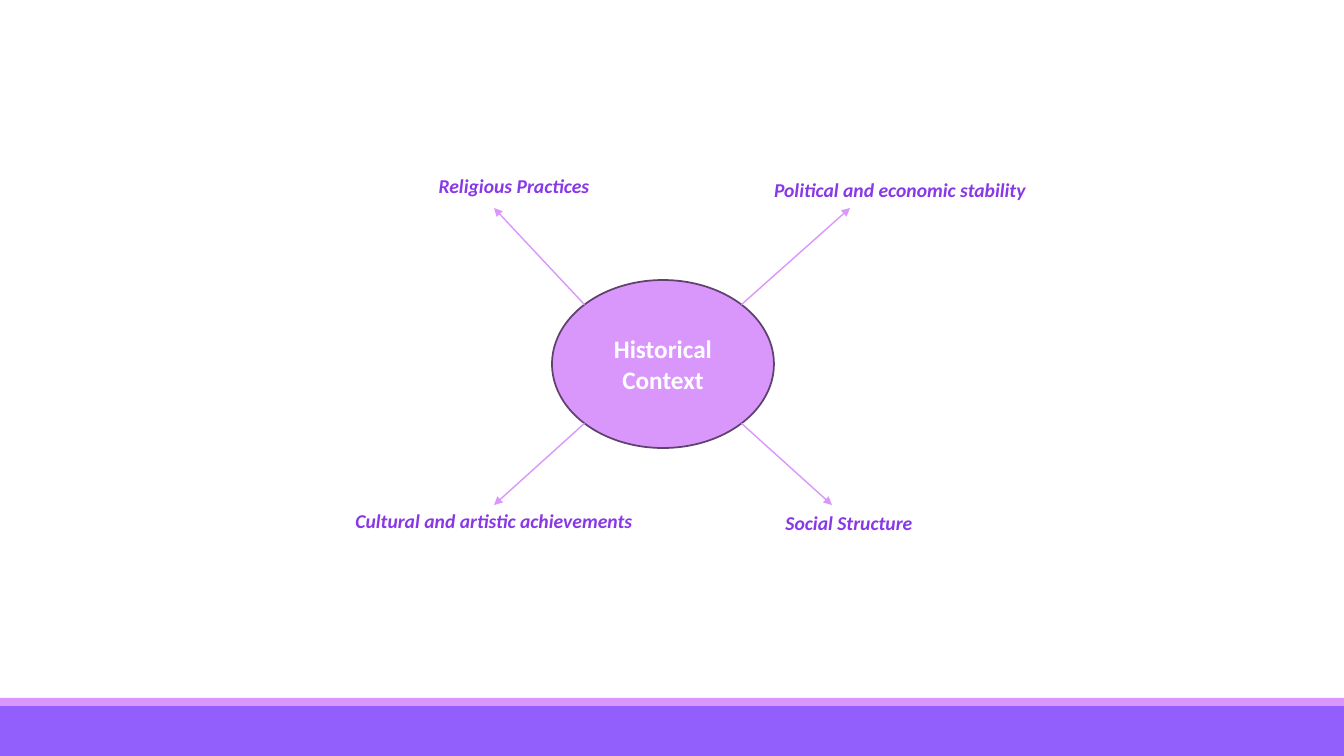
import math

from lxml import etree
from pptx import Presentation
from pptx import util as u
from pptx.dml.color import RGBColor
from pptx.enum import shapes, text
from pptx.oxml.ns import qn

W, H = 1344, 756
EMU_PER_PX = 12192000 / W
VIOLET, LILAC, PLUM, PURPLE, WHITE = "925FFD", "DA97FB", "60426E", "8838E6", "FFFFFF"
LABEL_W, LABEL_H = 386, 34

# label, direction from the hub, arrow tip and label corner measured from the hub centre
BRANCHES = [
    ("Political and economic stability", (1, -1), (187, -156), (44, -191)),
    ("Religious Practices", (-1, -1), (-169, -156), (-342, -195)),
    ("Social Structure", (1, 1), (169, 141), (-7, 142)),
    ("Cultural and artistic achievements", (-1, 1), (-169, 141), (-362, 140)),
]


def px(*lengths):
    return [u.Emu(round(n * EMU_PER_PX)) for n in lengths]


def rgb(hex_color):
    return RGBColor.from_string(hex_color)


def add_filled(s, kind, box, fill, line=None):
    sp = s.shapes.add_shape(kind, *px(*box))
    sp.shadow.inherit = False
    sp.fill.solid()
    sp.fill.fore_color.rgb = rgb(fill)
    if line:
        sp.line.color.rgb = rgb(line)
        sp.line.width = u.Pt(1.25)
    else:
        sp.line.fill.background()
    return sp


def write(sp, words, size, color, italic=False):
    tf = sp.text_frame
    tf.word_wrap = True
    tf.text = words
    p = tf.paragraphs[0]
    p.alignment = text.PP_ALIGN.CENTER
    font = p.runs[0].font
    font.name, font.size = "Calibri", u.Pt(size)
    font.bold, font.italic = True, italic
    font.color.rgb = rgb(color)
    return tf


def add_arrow(s, start, tip):
    arrow = s.shapes.add_connector(shapes.MSO_CONNECTOR.STRAIGHT, *px(*start, *tip))
    arrow.line.color.rgb = rgb(LILAC)
    arrow.line.width = u.Pt(1)
    etree.SubElement(arrow.line._get_or_add_ln(), qn("a:tailEnd"), type="triangle")
    etree.SubElement(arrow._element.spPr, qn("a:effectLst"))


def add_footer(s, left, top, width, height):
    strip = 8
    rect = shapes.MSO_SHAPE.RECTANGLE
    add_filled(s, rect, (left, top + strip, width, height - strip), VIOLET)
    add_filled(s, rect, (left, top, width, strip), LILAC)


def add_mind_map(s, left, top, width, height):
    """Draw the hub in the given box and its branches around it."""
    hub = add_filled(s, shapes.MSO_SHAPE.OVAL, (left, top, width, height), LILAC, PLUM)
    tf = write(hub, "Historical Context", 18, WHITE)
    tf.vertical_anchor = text.MSO_ANCHOR.MIDDLE

    cx, cy = left + width / 2, top + height / 2
    edge_x, edge_y = (side / 2 * math.sqrt(0.5) for side in (width, height))
    for words, (dx, dy), (tip_x, tip_y), (label_x, label_y) in BRANCHES:
        add_arrow(s, (cx + dx * edge_x, cy + dy * edge_y), (cx + tip_x, cy + tip_y))
        label = s.shapes.add_textbox(*px(cx + label_x, cy + label_y, LABEL_W, LABEL_H))
        write(label, words, 14, PURPLE, italic=True)


def main():
    prs = Presentation()
    prs.slide_width, prs.slide_height = px(W, H)
    s = prs.slides.add_slide(prs.slide_layouts[6])
    add_footer(s, 0, 698, W, 58)
    add_mind_map(s, 552, 280, 222, 168)
    prs.save("out.pptx")


if __name__ == "__main__":
    main()
